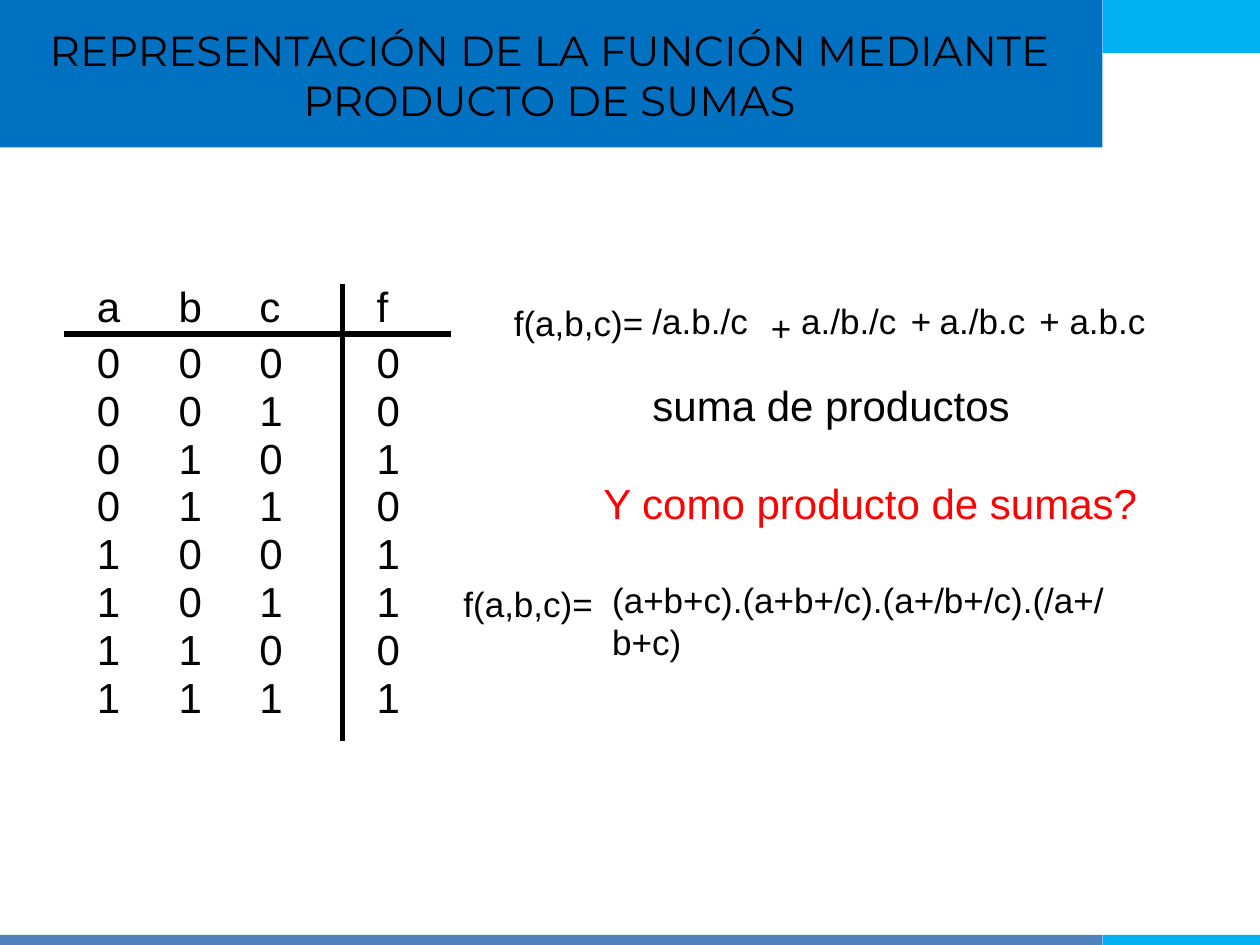
from itertools import product
from lxml.etree import SubElement
from pptx import Presentation
from pptx.dml.color import RGBColor
from pptx.enum.shapes import MSO_CONNECTOR as CONN, MSO_SHAPE as SHAPE
from pptx.enum.text import MSO_ANCHOR as ANCHOR, MSO_AUTO_SIZE as AUTO, PP_ALIGN as ALIGN
from pptx.oxml import parse_xml
from pptx.oxml.ns import nsdecls, qn
from pptx.util import Inches, Pt

BLACK, RED = "000000", "FF0000"
BLUE, SKY, STEEL = "0070C0", "00B0F0", "4F81BD"
COLUMN_TABS = (0.65, 1.29, 2.22)
OUTPUTS = "00101101"


def color(hex_str):
    return RGBColor.from_string(hex_str)


def add_bar(slide, x, y, w, h, fill):
    sp = slide.shapes.add_shape(SHAPE.RECTANGLE, Inches(x), Inches(y), Inches(w), Inches(h))
    sp.shadow.inherit = False
    sp.fill.solid()
    sp.fill.fore_color.rgb = color(fill)
    sp.line.fill.background()


def add_rule(slide, x1, y1, x2, y2):
    line = slide.shapes.add_connector(CONN.STRAIGHT, Inches(x1), Inches(y1), Inches(x2), Inches(y2))
    line.line.color.rgb = color(BLACK)
    line.line.width = Pt(3)
    SubElement(line._element.spPr, qn("a:effectLst"))


def add_text(slide, text, x, y, w, h=0.5, size=24, fill=BLACK, font="Arial"):
    sp = slide.shapes.add_textbox(Inches(x), Inches(y), Inches(w), Inches(h))
    tf = sp.text_frame
    tf.word_wrap = True
    tf.auto_size = AUTO.SHAPE_TO_FIT_TEXT
    p = tf.paragraphs[0]
    p.text = text
    p.font.size = Pt(size)
    p.font.name = font
    p.font.color.rgb = color(fill)
    return tf


def add_title(slide, text):
    tf = add_text(slide, text, 0.11, 0.11, 8.5, 0.97, font="Montserrat")
    tf.auto_size = AUTO.NONE
    tf.vertical_anchor = ANCHOR.MIDDLE
    tf.paragraphs[0].alignment = ALIGN.CENTER


def add_table_row(slide, values, y):
    tf = add_text(slide, "\t".join(values), 0.67, y, 2.76)
    stops = "".join(f'<a:tab pos="{Inches(t)}" algn="l"/>' for t in COLUMN_TABS)
    tab_list = parse_xml(f'<a:tabLst {nsdecls("a")}>{stops}</a:tabLst>')
    tf.paragraphs[0]._p.get_or_add_pPr().insert(0, tab_list)


def add_truth_table(slide):
    add_rule(slide, 0.51, 2.65, 3.58, 2.65)
    add_rule(slide, 2.72, 2.25, 2.72, 5.88)
    add_table_row(slide, "abcf", 2.18)
    for i, (inputs, output) in enumerate(zip(product("01", repeat=3), OUTPUTS)):
        add_table_row(slide, (*inputs, output), 2.62 + 0.38 * i)


def add_formula(slide, parts):
    for text, x, y, w in parts:
        add_text(slide, text, x, y, w, 0.44, size=20)


def main():
    prs = Presentation()
    prs.slide_width, prs.slide_height = Inches(10), Inches(7.5)
    slide = prs.slides.add_slide(prs.slide_layouts[6])

    add_bar(slide, 0, 0, 8.75, 1.17, BLUE)
    add_bar(slide, 8.75, 0, 1.25, 0.42, SKY)
    add_bar(slide, 0, 7.42, 8.75, 0.08, STEEL)
    add_bar(slide, 8.75, 7.42, 1.25, 0.08, SKY)
    add_title(slide, "REPRESENTACIÓN DE LA FUNCIÓN MEDIANTE PRODUCTO DE SUMAS")

    add_truth_table(slide)

    add_formula(slide, [
        ("f(a,b,c)=", 3.98, 2.34, 1.5),
        ("/a.b./c", 5.08, 2.33, 1.02),
        ("+", 6.02, 2.38, 0.39),
        ("a./b./c", 6.26, 2.33, 1.02),
        ("+", 7.13, 2.33, 0.39),
        ("a./b.c", 7.36, 2.33, 0.94),
        ("+", 8.15, 2.33, 0.39),
        ("a.b.c", 8.39, 2.33, 0.87),
    ])
    add_text(slide, "suma de productos", 5.08, 2.96, 3.78)
    add_text(slide, "Y como producto de sumas?", 4.69, 3.74, 4.72, fill=RED)
    add_formula(slide, [
        ("f(a,b,c)=", 3.58, 4.57, 1.26),
        ("(a+b+c).(a+b+/c).(a+/b+/c).(/a+/b+c)", 4.76, 4.54, 4.65),
    ])

    prs.save("out.pptx")


if __name__ == "__main__":
    main()
